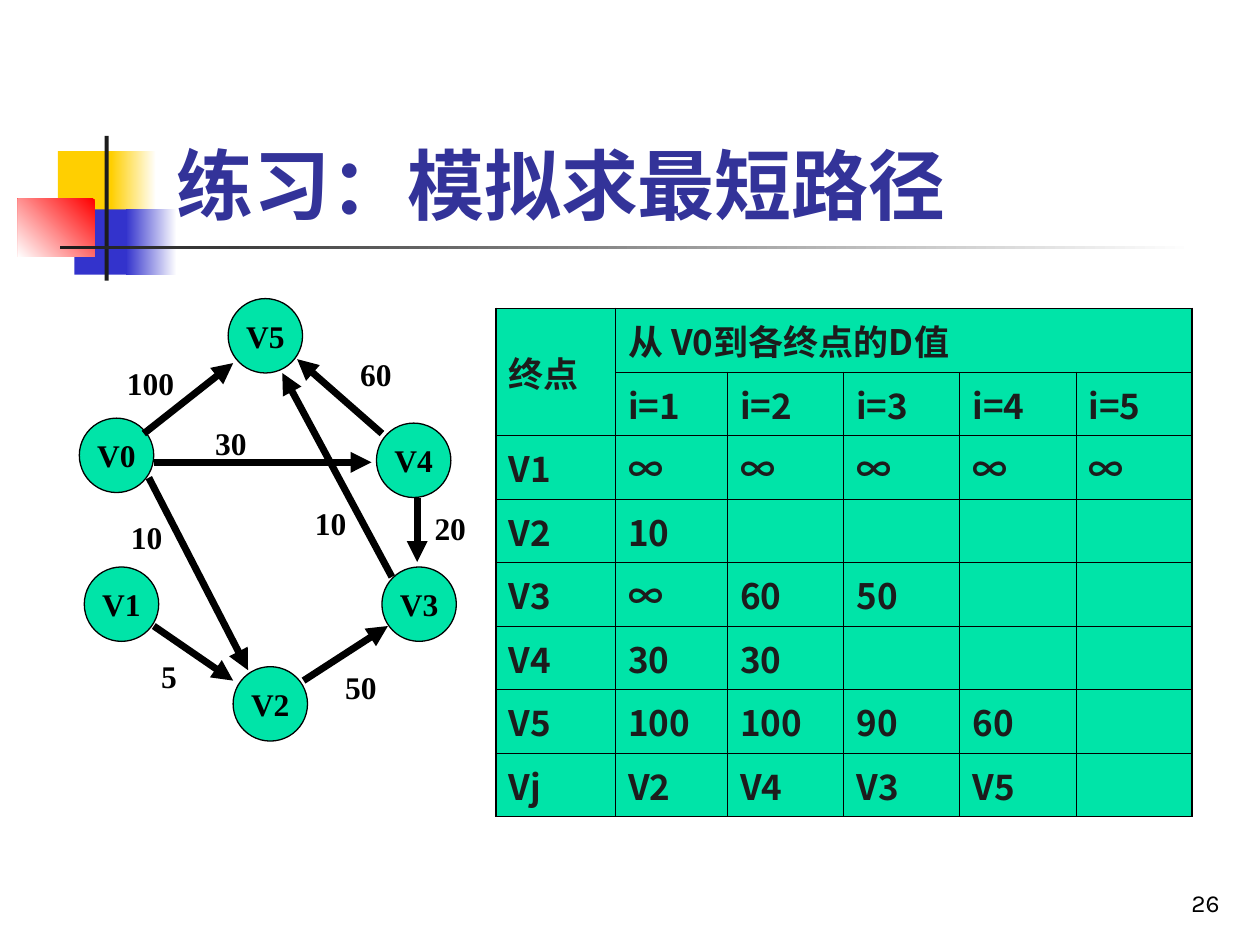
from lxml.etree import SubElement
from pptx import Presentation
from pptx.dml.color import RGBColor
from pptx.enum.shapes import MSO_CONNECTOR, MSO_SHAPE
from pptx.enum.text import MSO_ANCHOR, PP_ALIGN
from pptx.oxml.ns import qn
from pptx.util import Cm, Pt

COLORS = {
    "yellow": "FFCF01", "blue": "3333CC", "red": "FF0000", "white": "FFFFFF",
    "dark": "1C1C1C", "title": "333399", "green": "00E4A8", "black": "000000",
}
SANS, SERIF = "Noto Sans CJK SC", "Times New Roman"


def color(name):
    return RGBColor.from_string(COLORS[name])


def write(frame, text, size=18, font=SERIF, ink="black", bold=True,
          align=PP_ALIGN.LEFT, anchor=None, before=0, wrap=True):
    frame.word_wrap = wrap
    if anchor is not None:
        frame.vertical_anchor = anchor
    paragraph = frame.paragraphs[0]
    paragraph.alignment = align
    paragraph.space_before = Pt(before)
    run = paragraph.add_run()
    run.text = text
    run.font.size, run.font.bold, run.font.name = Pt(size), bold, font
    run.font.color.rgb = color(ink)
    SubElement(run.font._element, qn("a:ea"), typeface=font)


prs = Presentation()
prs.slide_width, prs.slide_height = Cm(25.4), Cm(19.05)
slide = prs.slides.add_slide(prs.slide_layouts[6])

# Corner decoration: box, gradient stops (one name is a plain fill), angle
decoration = [
    ((1.17, 3.05, 1.22, 1.32), ["yellow"], 0),
    ((2.24, 3.05, 0.91, 1.32), ["white", "yellow"], 180),
    ((1.5, 4.22, 1.17, 1.32), ["blue"], 0),
    ((2.54, 4.22, 1.02, 1.32), ["white", "blue"], 180),
    ((0.36, 4.01, 1.55, 1.17), ["red", "white"], 225),
    ((2.11, 2.74, 0.08, 2.92), ["dark"], 0),
    ((1.22, 4.95, 22.86, 0.08), ["white", "dark"], 180),
]
for box, stops, angle in decoration:
    block = slide.shapes.add_shape(MSO_SHAPE.RECTANGLE, *map(Cm, box))
    block.shadow.inherit = False
    block.line.fill.background()
    if len(stops) == 1:
        block.fill.solid()
        block.fill.fore_color.rgb = color(stops[0])
    else:
        block.fill.gradient()
        block.fill.gradient_angle = angle
        for stop, name in zip(block.fill.gradient_stops, stops):
            stop.color.rgb = color(name)

# Title
title = slide.shapes.add_textbox(Cm(3.3), Cm(2.51), Cm(17.65), Cm(2.39))
write(title.text_frame, "练习：模拟求最短路径", size=44, font=SANS, ink="title",
      anchor=MSO_ANCHOR.MIDDLE)

# Distance table
distances = [
    ["终点", "从 V0到各终点的D值", "", "", "", ""],
    ["", "i=1", "i=2", "i=3", "i=4", "i=5"],
    ["V1", "∞", "∞", "∞", "∞", "∞"],
    ["V2", "10", "", "", "", ""],
    ["V3", "∞", "60", "50", "", ""],
    ["V4", "30", "30", "", "", ""],
    ["V5", "100", "100", "90", "60", ""],
    ["Vj", "V2", "V4", "V3", "V5", ""],
]
widths = [2.41, 2.26] + [2.34] * 4
row_height = 1.28
row_count, column_count = len(distances), len(widths)
table = slide.shapes.add_table(row_count, column_count, Cm(10), Cm(6.22),
                               Cm(sum(widths)), Cm(row_height * row_count)).table
table.first_row = table.horz_banding = False
for column, width in zip(table.columns, widths):
    column.width = Cm(width)
for row in table.rows:
    row.height = Cm(row_height)
table.cell(0, 0).merge(table.cell(1, 0))
table.cell(0, 1).merge(table.cell(0, column_count - 1))

for r, values in enumerate(distances):
    for c, value in enumerate(values):
        cell = table.cell(r, c)
        if cell.is_spanned:
            continue
        on_edge = {
            "a:lnL": c == 0,
            "a:lnR": c + cell.span_width == column_count,
            "a:lnT": r == 0,
            "a:lnB": r + cell.span_height == row_count,
        }
        cell.vertical_anchor = MSO_ANCHOR.MIDDLE
        for side, outer in on_edge.items():
            border = SubElement(cell._tc.get_or_add_tcPr(), qn(side),
                                w=str(Pt(1.08 if outer else 0.45)))
            border_fill = SubElement(border, qn("a:solidFill"))
            SubElement(border_fill, qn("a:srgbClr"), val=COLORS["black"])
        cell.fill.solid()
        cell.fill.fore_color.rgb = color("green")
        if value:
            write(cell.text_frame, value, size=20, font=SANS, ink="dark", before=5)

# Graph vertices
graph = slide.shapes.add_group_shape().shapes
vertices = {
    "V0": (1.6, 8.43), "V1": (1.7, 11.43), "V2": (4.7, 13.44),
    "V3": (7.7, 11.43), "V4": (7.59, 8.53), "V5": (4.6, 6.02),
}
for name, (left, top) in vertices.items():
    vertex = graph.add_shape(MSO_SHAPE.OVAL, Cm(left), Cm(top), Cm(1.5), Cm(1.5))
    vertex.shadow.inherit = False
    vertex.fill.solid()
    vertex.fill.fore_color.rgb = color("green")
    vertex.line.color.rgb = color("black")
    vertex.line.width = Pt(0.75)
    write(vertex.text_frame, name, align=PP_ALIGN.CENTER,
          anchor=MSO_ANCHOR.MIDDLE, wrap=False)

# Graph edges: start and end, weight, left, top and width of the weight
edges = [
    ((2.9, 8.74, 4.7, 7.32), "100", (2.31, 7.21, 1.8)),
    ((7.7, 8.74, 5.99, 7.24), "60", (7.01, 7.04, 1.8)),
    ((3.1, 9.32, 7.49, 9.32), "30", (4.09, 8.43, 1.8)),
    ((3.1, 12.62, 4.7, 13.72), "5", (3, 13.13, 1.3)),
    ((3, 9.63, 5, 13.51), "10", (2.39, 10.31, 1.4)),
    ((6.12, 13.72, 7.82, 12.62), "50", (6.71, 13.34, 1.8)),
    ((8.41, 10.03, 8.41, 11.33), "20", (8.51, 10.13, 1.8)),
    ((7.9, 11.63, 5.69, 7.52), "10", (6.1, 10.03, 1.6)),
]
for ends, weight, place in edges:
    edge = graph.add_connector(MSO_CONNECTOR.STRAIGHT, *map(Cm, ends))
    edge.line.color.rgb = color("black")
    edge.line.width = Pt(4)
    SubElement(edge.line._get_or_add_ln(), qn("a:tailEnd"), type="triangle")
    SubElement(edge._element.spPr, qn("a:effectLst"))
    label = graph.add_textbox(*map(Cm, place), Cm(1.02))
    write(label.text_frame, weight, before=11.2)

# Page number
page_number = slide.shapes.add_textbox(Cm(19.56), Cm(17.35), Cm(5.28), Cm(1.27))
write(page_number.text_frame, "26", size=14, font="Karla", bold=False,
      align=PP_ALIGN.RIGHT, anchor=MSO_ANCHOR.BOTTOM)

prs.save("out.pptx")
